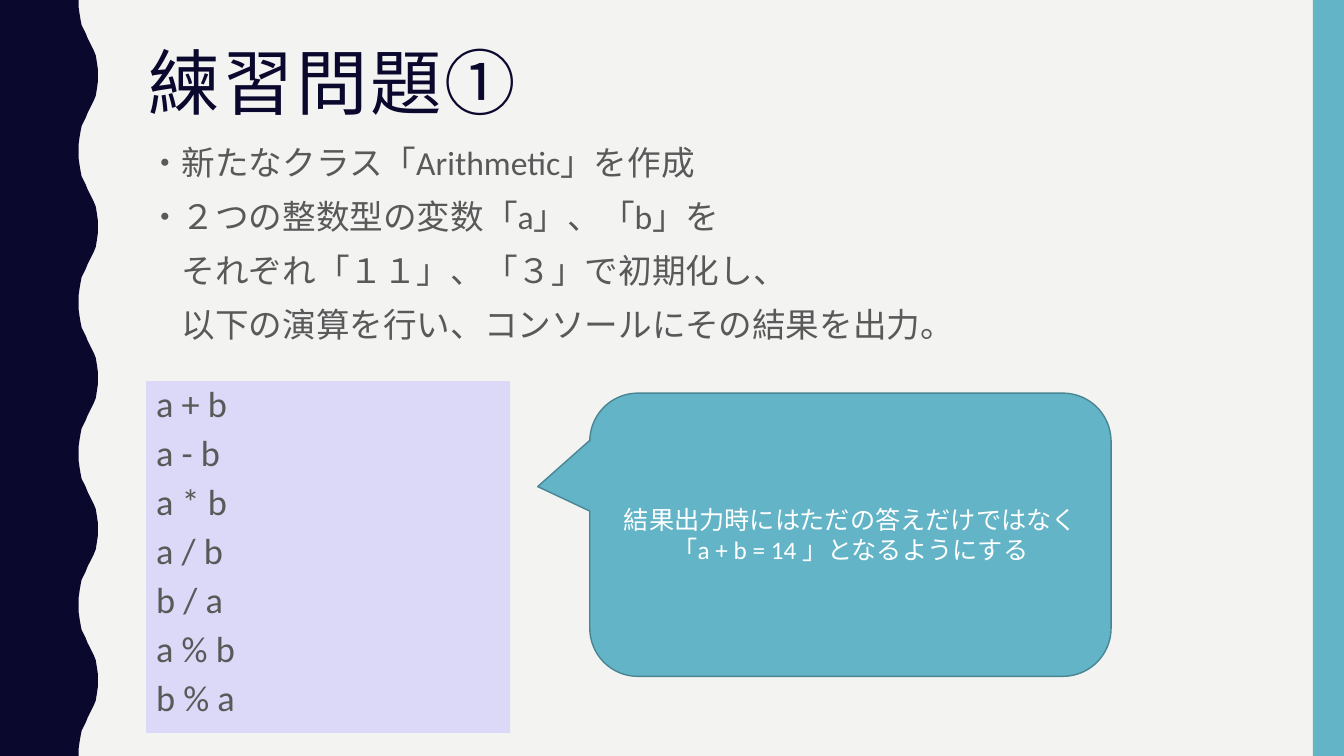
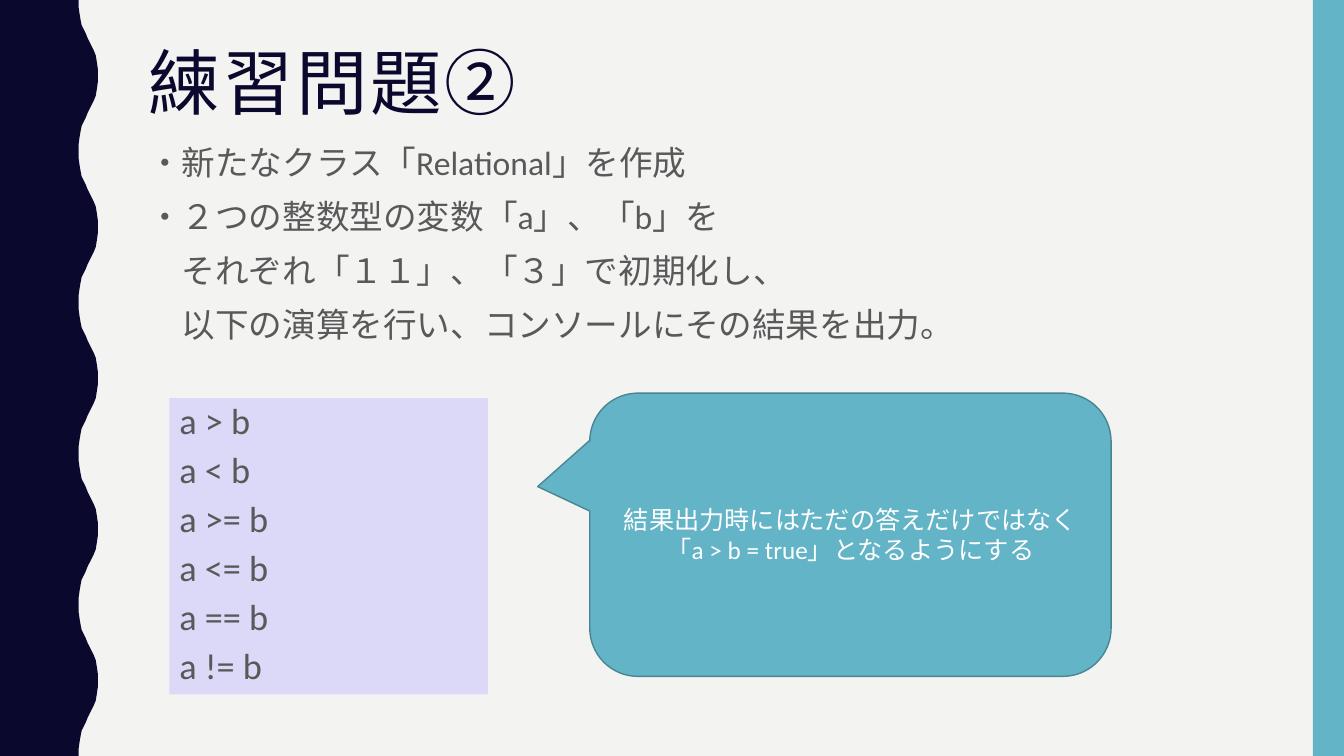
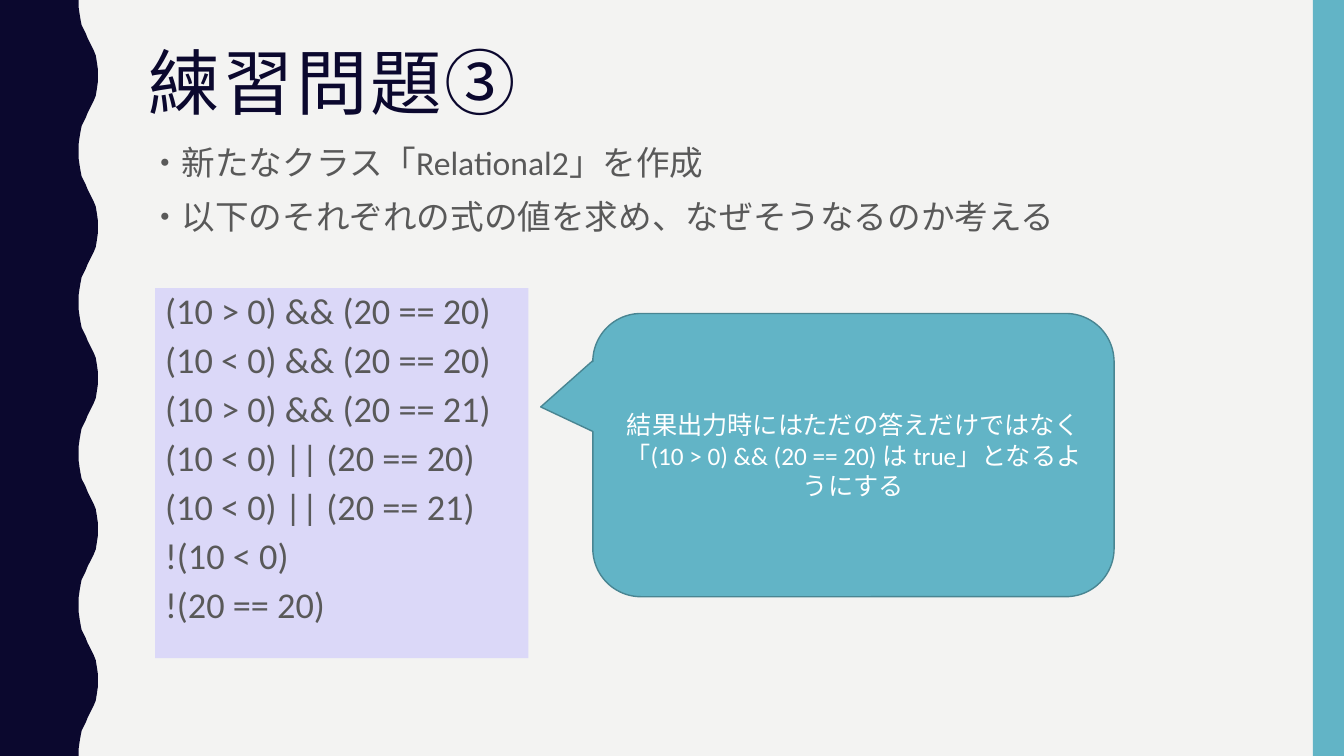
import pptx
import pptx.util
import pptx.dml.color
import pptx.enum.shapes
import pptx.enum.text

Inches, Pt = pptx.util.Inches, pptx.util.Pt
RGBColor = pptx.dml.color.RGBColor
MSO_SHAPE = pptx.enum.shapes.MSO_SHAPE
PP_ALIGN = pptx.enum.text.PP_ALIGN
MSO_ANCHOR = pptx.enum.text.MSO_ANCHOR

PAPER = RGBColor(0xF3, 0xF3, 0xF2)
NAVY = RGBColor(0x0B, 0x08, 0x2E)
TEAL = RGBColor(0x62, 0xB4, 0xC6)
DARK_TEAL = RGBColor(0x49, 0x85, 0x92)
LILAC = RGBColor(0xDB, 0xD8, 0xF8)
GREY = RGBColor(0x59, 0x59, 0x59)
WHITE = RGBColor(0xFF, 0xFF, 0xFF)

INIT_STEPS = [
    "・２つの整数型の変数「a」、「b」を",
    "　それぞれ「１１」、「３」で初期化し、",
    "　以下の演算を行い、コンソールにその結果を出力。",
]

# title, class name, further steps, expressions and their box, sample output, callout corner
EXERCISES = [
    ("練習問題①", "Arithmetic", INIT_STEPS,
     ["a + b", "a - b", "a * b", "a / b", "b / a", "a % b", "b % a"],
     (1.45, 3.78, 3.61, 3.49), "a + b = 14 ", (5.85, 3.9)),
    ("練習問題②", "Relational", INIT_STEPS,
     ["a > b", "a < b", "a >= b", "a <= b", "a == b", "a != b"],
     (1.68, 3.95, 3.16, 2.94), "a > b = true", (5.85, 3.9)),
    ("練習問題③", "Relational2",
     ["・以下のそれぞれの式の値を求め、なぜそうなるのか考える"],
     ["(10 > 0) && (20 == 20)", "(10 < 0) && (20 == 20)", "(10 > 0) && (20 == 21)",
      "(10 < 0) || (20 == 20)", "(10 < 0) || (20 == 21)", "!(10 < 0)", "!(20 == 20)"],
     (1.54, 2.86, 3.7, 3.67), "(10 > 0) && (20 == 20) は true", (5.88, 3.11)),
]


def write(sp, lines, size, color, font="Calibri", align=PP_ALIGN.LEFT,
          anchor=MSO_ANCHOR.TOP, spacing=None, before=0):
    """Fill a shape with one formatted paragraph per line."""
    tf = sp.text_frame
    tf.word_wrap = True
    tf.auto_size = pptx.enum.text.MSO_AUTO_SIZE.NONE
    tf.vertical_anchor = anchor
    tf.text = "\n".join(lines)
    for p in tf.paragraphs:
        p.alignment = align
        p.line_spacing = spacing
        p.space_before = Pt(before)
        for r in p.runs:
            r.font.size = Pt(size)
            r.font.name = font
            r.font.color.rgb = color


def paint(sp, fill, line=None):
    sp.shadow.inherit = False
    sp.fill.solid()
    sp.fill.fore_color.rgb = fill
    if line is None:
        sp.line.fill.background()
    else:
        sp.line.color.rgb = line
        sp.line.width = Pt(1)


prs = pptx.Presentation()
prs.slide_width = Inches(13.33)
prs.slide_height = Inches(7.5)

# Shared look: background, title place and side bands live on the layout
layout = prs.slide_layouts[5]
layout.background.fill.solid()
layout.background.fill.fore_color.rgb = PAPER
layout_title = layout.placeholders[0]
layout_title.left, layout_title.top = Inches(1.37), Inches(0.42)
layout_title.width, layout_title.height = Inches(11.13), Inches(1.63)
slides = [prs.slides.add_slide(layout) for _ in EXERCISES]

# Half a wave runs from trough to crest; its mirror leads back
HALF_WAVE = [(0.78, 0), (0.78, 0.07), (0.79, 0.14), (0.8, 0.2), (0.81, 0.25),
             (0.83, 0.29), (0.85, 0.33), (0.87, 0.38), (0.89, 0.42), (0.91, 0.46),
             (0.93, 0.5), (0.95, 0.55), (0.96, 0.61), (0.97, 0.68), (0.97, 0.75)]
WAVE = HALF_WAVE + [(x, 1.5 - y) for x, y in reversed(HALF_WAVE[:-1])]
edge = [(Inches(x), Inches(1.5 * n + y)) for n in range(5) for x, y in WAVE]

shapes = slides[0].shapes
builder = shapes.build_freeform(0, 0)
builder.add_line_segments(edge + [(0, Inches(7.5))], close=True)
wave_band = builder.convert_to_shape()
right_band = shapes.add_shape(MSO_SHAPE.RECTANGLE, Inches(13.02), 0, Inches(0.31), Inches(7.5))
for i, (band, color) in enumerate([(wave_band, NAVY), (right_band, TEAL)]):
    paint(band, color)
    band.element.nvSpPr.cNvPr.set("id", str(20 + i))
    layout.shapes.element.insert(2 + i, band.element)

for s, (title, class_name, steps, expressions, box, sample, corner) in zip(slides, EXERCISES):
    write(s.shapes.title, [title], 51, NAVY, font="Roboto Condensed", spacing=0.9)
    for r in s.shapes.title.text_frame.paragraphs[0].runs:
        r.font._element.set("spc", "200")

    body = s.shapes.add_textbox(Inches(1.37), Inches(1.32), Inches(11.13), Inches(6.1))
    write(body, [f"・新たなクラス「{class_name}」を作成"] + steps, 24, GREY, spacing=1.1, before=7)

    panel = s.shapes.add_shape(MSO_SHAPE.RECTANGLE, *map(Inches, box))
    paint(panel, LILAC)
    write(panel, expressions, 25.9, GREY, spacing=0.9, before=7)

    callout = s.shapes.add_shape(MSO_SHAPE.ROUNDED_RECTANGULAR_CALLOUT,
                                 *map(Inches, corner), Inches(5.17), Inches(2.81))
    for i, value in enumerate([-0.6, -0.17, 0.17]):
        callout.adjustments[i] = value
    paint(callout, TEAL, DARK_TEAL)
    write(callout, ["結果出力時にはただの答えだけではなく", f"「{sample}」となるようにする"],
          18, WHITE, align=PP_ALIGN.CENTER, anchor=MSO_ANCHOR.MIDDLE)

prs.save("out.pptx")
